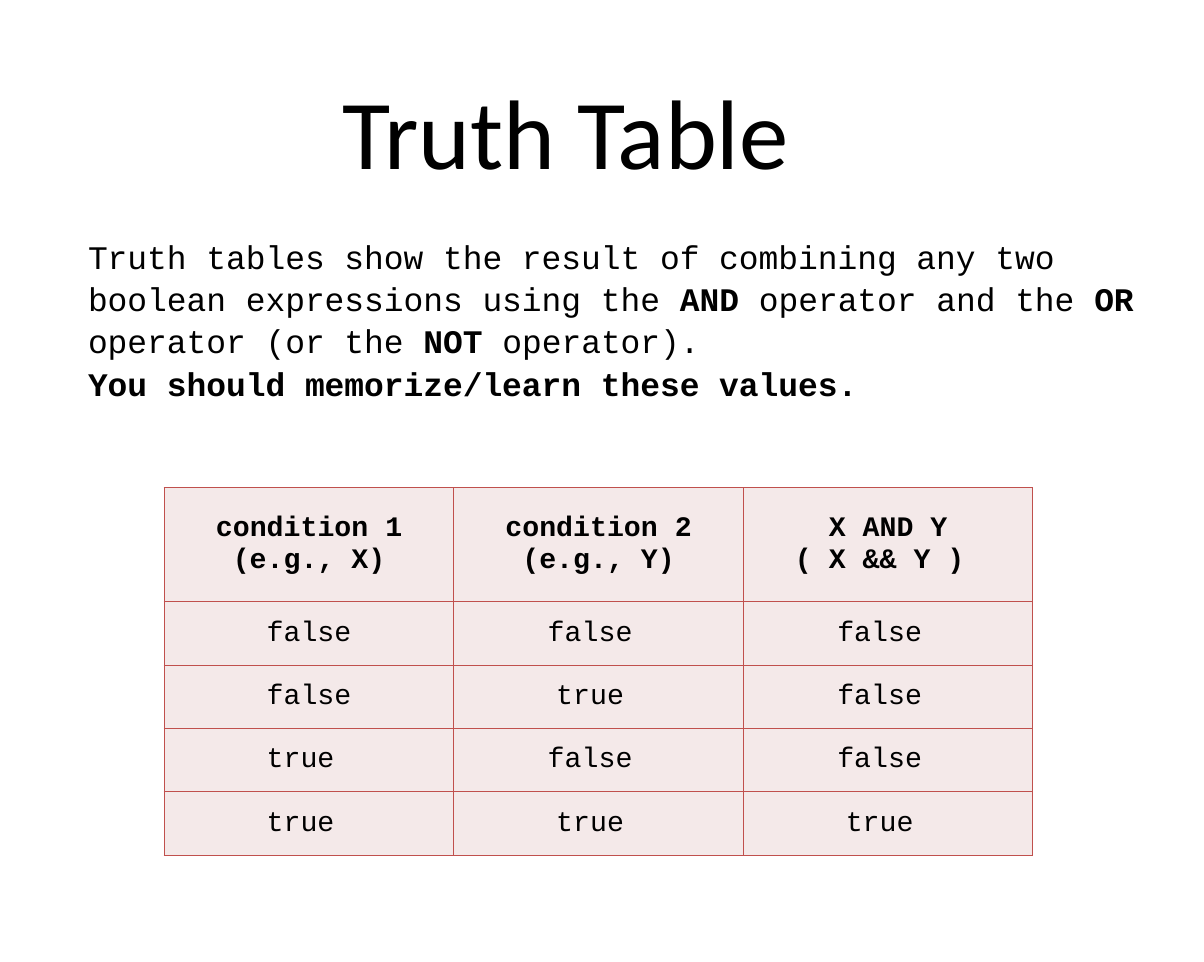
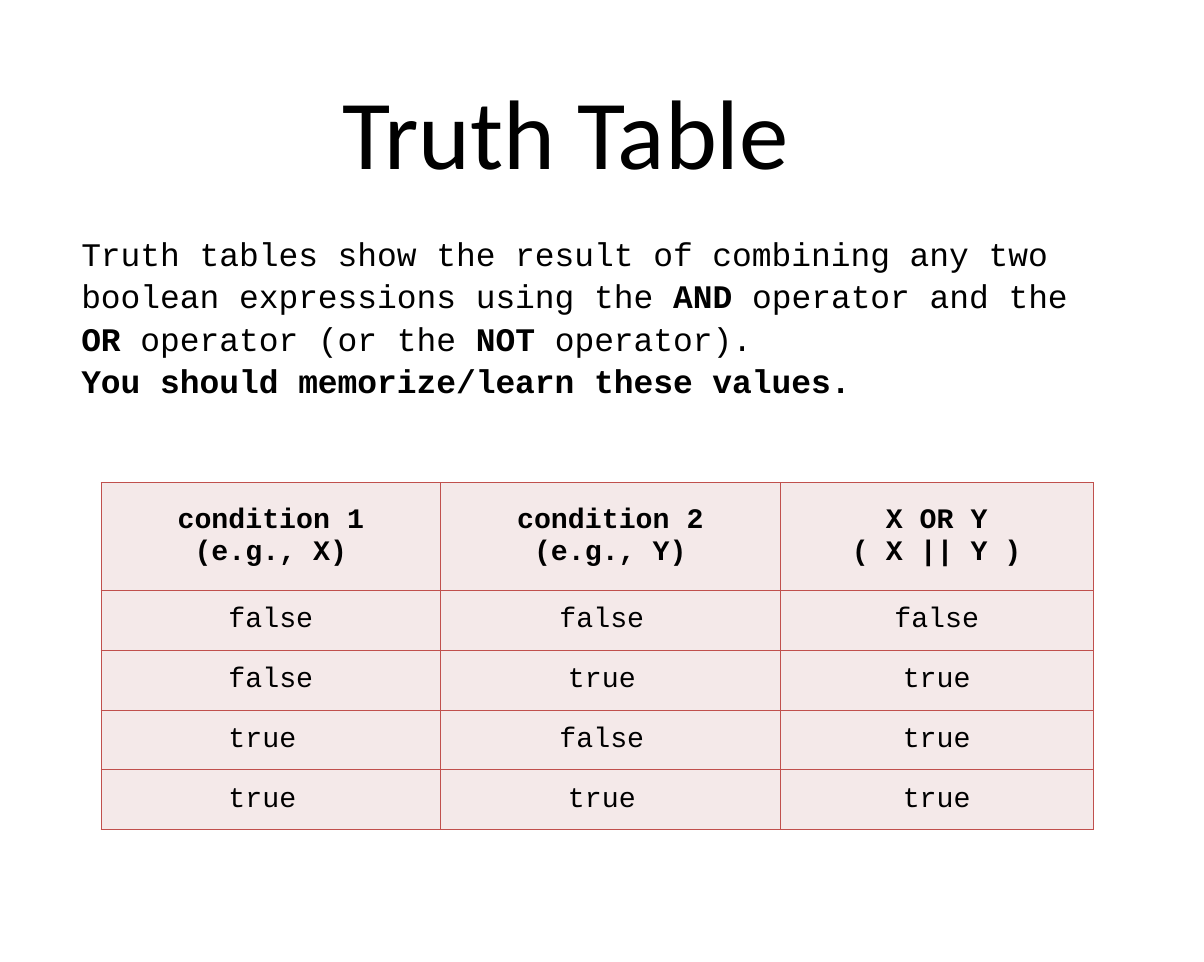
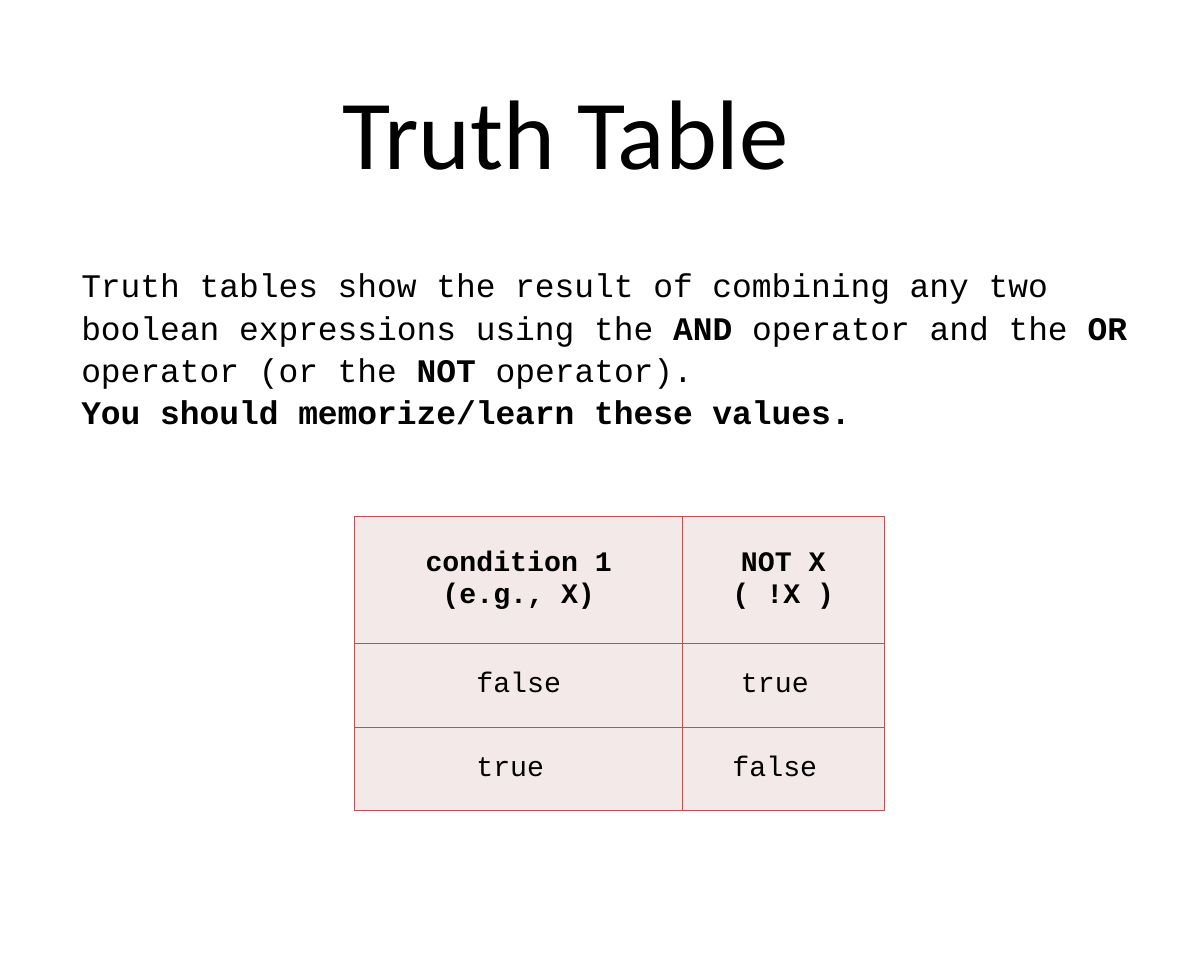
from pptx import Presentation
from pptx.dml.color import RGBColor as Rgb
from pptx.enum.text import MSO_ANCHOR as Anchor, MSO_AUTO_SIZE as Fit, PP_ALIGN as Align
from pptx.oxml.ns import qn
from pptx.util import Inches, Pt
from lxml.etree import SubElement as Sub

HUES = {"ink": "000000", "fill": "F4E9E9", "rule": "C0504D"}
CODE = "Courier New"
INTRO = ("Truth tables show the result of combining any two boolean expressions "
         "using the *AND* operator and the *OR* operator (or the *NOT* operator).")
ORDER = "*You should memorize/learn these values.*"
COND_X, COND_Y = "condition 1\v(e.g., X)", "condition 2\v(e.g., Y)"

deck = Presentation()
deck.slide_width, deck.slide_height = Inches(14.22), Inches(11.36)
# Lengths count hundredths of the slide's width (COL) and height (ROW).
COL, ROW = deck.slide_width / 100, deck.slide_height / 100
TITLE = (28.41, 7.31, 43.18, 12.59)

# Body box, table corner, column widths, head and row heights, cells
SLIDES = [
    ((6.61, 24.3, 88.47, 17.52), (13.64, 50.7), [24.05] * 3, 11.88, 6.58, [
        (COND_X, COND_Y, "X AND Y\v( X && Y ) "),
        ("false", "false ", "false "),
        ("false", "true ", "false "),
        ("true ", "false ", "false "),
        ("true ", "true ", "true ")]),
    ((6.05, 24.03, 87.9, 17.52), (8.39, 50.18), [28.2, 28.2, 26.02], 11.18, 6.23, [
        (COND_X, COND_Y, "X OR Y\v( X || Y )"),
        ("false", "false ", "false"),
        ("false", "true ", "true"),
        ("true ", "false ", "true"),
        ("true ", "true ", "true")]),
    ((6.05, 27.29, 89.1, 17.52), (29.47, 53.7), [27.22, 16.74], 13.2, 8.7, [
        (COND_X, "NOT X\v( !X )"),
        ("false", "true "),
        ("true ", "false ")]),
]


def style(para, face, size, align, bold=None):
    """Set the font and alignment of a paragraph."""
    font = para.font
    font.name, font.size, font.bold = face, Pt(size), bold
    font.color.rgb = Rgb.from_string(HUES["ink"])
    para.alignment = align


def place(shape, box):
    """Move a placeholder to a box on the grid and fix its size."""
    left, top, wide, high = box
    shape.left, shape.width = int(left * COL), int(wide * COL)
    shape.top, shape.height = int(top * ROW), int(high * ROW)
    shape.text_frame.word_wrap = True
    shape.text_frame.auto_size = Fit.NONE


for box, (left, top), widths, head, step, cells in SLIDES:
    slide = deck.slides.add_slide(deck.slide_layouts[1])
    title, body = slide.placeholders

    place(title, TITLE)
    frame = title.text_frame
    frame.margin_left = frame.margin_right = frame.margin_top = frame.margin_bottom = 0
    frame.vertical_anchor = Anchor.TOP
    frame.text = "Truth Table"
    style(frame.paragraphs[0], "Calibri", 84, Align.LEFT)

    place(body, box)
    frame = body.text_frame
    frame.vertical_anchor = Anchor.MIDDLE
    for para, text in zip((frame.paragraphs[0], frame.add_paragraph()), (INTRO, ORDER)):
        for spot, part in enumerate(text.split("*")):
            if part:
                run = para.add_run()
                run.text, run.font.bold = part, spot % 2 == 1
        style(para, CODE, 28, Align.LEFT)
        para.space_before, para.line_spacing = Pt(0), 1.07
        props = para._p.get_or_add_pPr()
        props.set("marL", "0")
        props.set("indent", "0")
        props.insert_element_before(props.makeelement(qn("a:buNone")), "a:defRPr")

    heights = [head] + [step] * (len(cells) - 1)
    table = slide.shapes.add_table(
        len(heights), len(widths), int(left * COL), int(top * ROW),
        int(sum(widths) * COL), int(sum(heights) * ROW)).table
    table.first_row = table.horz_banding = False
    for col, wide in zip(table.columns, widths):
        col.width = int(wide * COL)
    for num, (row, high, texts) in enumerate(zip(table.rows, heights, cells)):
        row.height = int(high * ROW)
        for cell, text in zip(row.cells, texts):
            cell.text_frame.text = text
            cell.vertical_anchor = Anchor.MIDDLE
            style(cell.text_frame.paragraphs[0], CODE, 24, Align.CENTER, num == 0)
            props = cell._tc.get_or_add_tcPr()
            for side in ("lnL", "lnR", "lnT", "lnB"):
                line = Sub(props, qn("a:" + side), w=str(Pt(1)))
                Sub(Sub(line, qn("a:solidFill")), qn("a:srgbClr"), val=HUES["rule"])
            cell.fill.solid()
            cell.fill.fore_color.rgb = Rgb.from_string(HUES["fill"])

deck.save("out.pptx")
